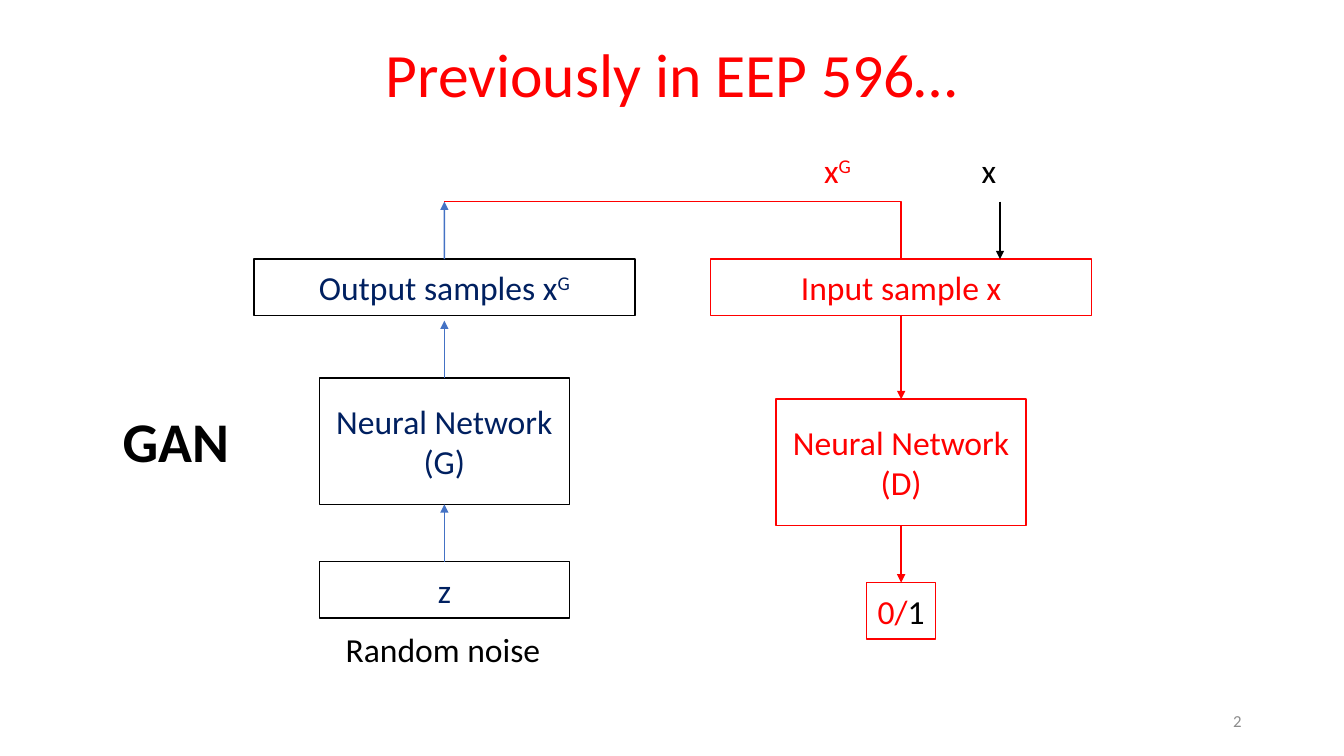
"""Builds a slide that recalls the generator and discriminator of a GAN."""
import pptx
import pptx.dml.color
import pptx.enum.shapes
import pptx.enum.text
import pptx.oxml.ns
import pptx.util
from lxml import etree

Cm = pptx.util.Cm
Pt = pptx.util.Pt
RGBColor = pptx.dml.color.RGBColor
ALIGN = pptx.enum.text.PP_ALIGN
ANCHOR = pptx.enum.text.MSO_ANCHOR
CONNECTOR = pptx.enum.shapes.MSO_CONNECTOR
qn = pptx.oxml.ns.qn

RED = RGBColor(0xFF, 0x00, 0x00)
BLACK = RGBColor(0x00, 0x00, 0x00)
WHITE = RGBColor(0xFF, 0xFF, 0xFF)
NAVY = RGBColor(0x00, 0x20, 0x60)
BLUE = RGBColor(0x44, 0x72, 0xC4)
GRAY = RGBColor(0x8C, 0x8C, 0x8C)

TOP, BOTTOM = 0, 2
GENERATOR_X, DISCRIMINATOR_X = 11.2, 22.71
SAMPLE_WIDTH, NETWORK_WIDTH = 9.6, 6.3
ROW_HEIGHT, NETWORK_HEIGHT = 1.42, 3.18
SAMPLE_TOP, FEED_TOP = 6.53, 5.08


class DiagramSlide:
    """Holds the style and the slide, and adds each kind of element."""

    font_name = "Calibri"
    font_size = 24
    line_width = Pt(1)

    def __init__(self, presentation):
        self.slide = presentation.slides.add_slide(presentation.slide_layouts[5])
        self.shapes = self.slide.shapes

    def add_lines(self, frame, lines, color, size=None, align=ALIGN.LEFT, bold=False):
        """Adds one paragraph per line; text after a caret is superscript."""
        for index, line in enumerate(lines):
            paragraph = frame.add_paragraph() if index else frame.paragraphs[0]
            paragraph.alignment = align
            font = paragraph.font
            font.name, font.size, font.bold = self.font_name, Pt(size or self.font_size), bold
            font.color.rgb = color
            base, _, superscript = line.partition("^")
            paragraph.add_run().text = base
            if superscript:
                run = paragraph.add_run()
                run.text = superscript
                run._r.get_or_add_rPr().set("baseline", "30000")

    def title(self, text, left, top, width, height):
        """Moves and fills the title placeholder."""
        title = self.shapes.title
        title.left, title.top, title.width, title.height = map(Cm, (left, top, width, height))
        frame = title.text_frame
        frame.auto_size = pptx.enum.text.MSO_AUTO_SIZE.NONE
        frame.vertical_anchor = ANCHOR.MIDDLE
        self.add_lines(frame, [text], RED, 44, ALIGN.CENTER)
        frame.paragraphs[0].line_spacing = 0.9

    def label(self, text, left, top, width, height, color=BLACK, **style):
        """Adds a text box of one line."""
        frame = self.shapes.add_textbox(*map(Cm, (left, top, width, height))).text_frame
        frame.word_wrap = True
        frame.margin_right = 0
        self.add_lines(frame, [text], color, **style)
        return frame

    def box(self, lines, center, top, width, height, line_color, text_color):
        """Adds an outlined rectangle centred on a column."""
        shape = self.shapes.add_shape(
            pptx.enum.shapes.MSO_SHAPE.RECTANGLE,
            *map(Cm, (center - width / 2, top, width, height)))
        shape.shadow.inherit = False
        shape.fill.solid()
        shape.fill.fore_color.rgb = WHITE
        shape.line.color.rgb = line_color
        shape.line.width = self.line_width
        shape.text_frame.word_wrap = True
        shape.text_frame.vertical_anchor = ANCHOR.MIDDLE
        self.add_lines(shape.text_frame, lines, text_color, align=ALIGN.CENTER)
        return shape

    def connector(self, start, end, color, kind=CONNECTOR.STRAIGHT):
        """Adds a plain line between two points."""
        line = self.shapes.add_connector(kind, *map(Cm, (*start, *end)))
        line.line.color.rgb = color
        line.line.width = self.line_width
        etree.SubElement(line._element.spPr, qn("a:effectLst"))
        return line

    def arrow(self, center, start, end, color, source=None, source_side=TOP, target=None):
        """Adds a vertical arrow, joined to the given boxes."""
        line = self.connector((center, start), (center, end), color)
        etree.SubElement(line._element.spPr.find(qn("a:ln")), qn("a:tailEnd"), type="triangle")
        if source is not None:
            line.begin_connect(source, source_side)
        if target is not None:
            line.end_connect(target, BOTTOM - source_side)

    def elbow(self, start, end, color):
        """Adds a line that runs across and then down."""
        line = self.connector(start, end, color, CONNECTOR.ELBOW)
        line._element.spPr.find(qn("a:prstGeom")).set("prst", "bentConnector2")


def main():
    presentation = pptx.Presentation()
    presentation.slide_width, presentation.slide_height = Cm(33.87), Cm(19.05)
    diagram = DiagramSlide(presentation)
    diagram.title("Previously in EEP 596…", 2.33, 1.02, 29.21, 1.88)
    number = diagram.label("2", 23.92, 17.66, 7.62, 1.01, GRAY, size=12, align=ALIGN.RIGHT)
    number.margin_right = Cm(0.25)
    number.vertical_anchor = ANCHOR.MIDDLE

    noise = diagram.box(["z"], GENERATOR_X, 14.15, NETWORK_WIDTH, ROW_HEIGHT, BLACK, NAVY)
    generator = diagram.box(["Neural Network", "(G)"], GENERATOR_X, 9.53,
                            NETWORK_WIDTH, NETWORK_HEIGHT, BLACK, NAVY)
    output = diagram.box(["Output samples x^G"], GENERATOR_X, SAMPLE_TOP,
                         SAMPLE_WIDTH, ROW_HEIGHT, BLACK, NAVY)
    diagram.arrow(GENERATOR_X, 14.15, 12.7, BLUE, noise, TOP, generator)
    diagram.arrow(GENERATOR_X, 9.53, 8.08, BLUE, generator)
    diagram.arrow(GENERATOR_X, SAMPLE_TOP, FEED_TOP, BLUE, output)

    verdict = diagram.box(["0/"], DISCRIMINATOR_X, 14.68, 1.73, ROW_HEIGHT, RED, RED)
    real = verdict.text_frame.paragraphs[0].add_run()
    real.text = "1"
    real.font.color.rgb = BLACK
    discriminator = diagram.box(["Neural Network", "(D)"], DISCRIMINATOR_X, 10.06,
                                NETWORK_WIDTH, NETWORK_HEIGHT, RED, RED)
    sample = diagram.box(["Input sample x"], DISCRIMINATOR_X, SAMPLE_TOP,
                         SAMPLE_WIDTH, ROW_HEIGHT, RED, RED)
    diagram.arrow(DISCRIMINATOR_X, 7.95, 10.06, RED, sample, BOTTOM, discriminator)
    diagram.arrow(DISCRIMINATOR_X, 13.24, 14.68, RED, discriminator, BOTTOM, verdict)
    diagram.elbow((GENERATOR_X, FEED_TOP), (DISCRIMINATOR_X, SAMPLE_TOP), RED)
    diagram.arrow(25.2, FEED_TOP, SAMPLE_TOP, BLACK)

    diagram.label("x^G", 20.52, 3.66, 1.24, 1.27, RED)
    diagram.label("x", 24.49, 3.66, 0.89, 1.27)
    diagram.label("Random noise", 8.46, 15.72, 5.46, 1.27)
    diagram.label("GAN", 2.84, 10.13, 3.23, 1.96, size=40, bold=True)
    presentation.save("out.pptx")


if __name__ == "__main__":
    main()
